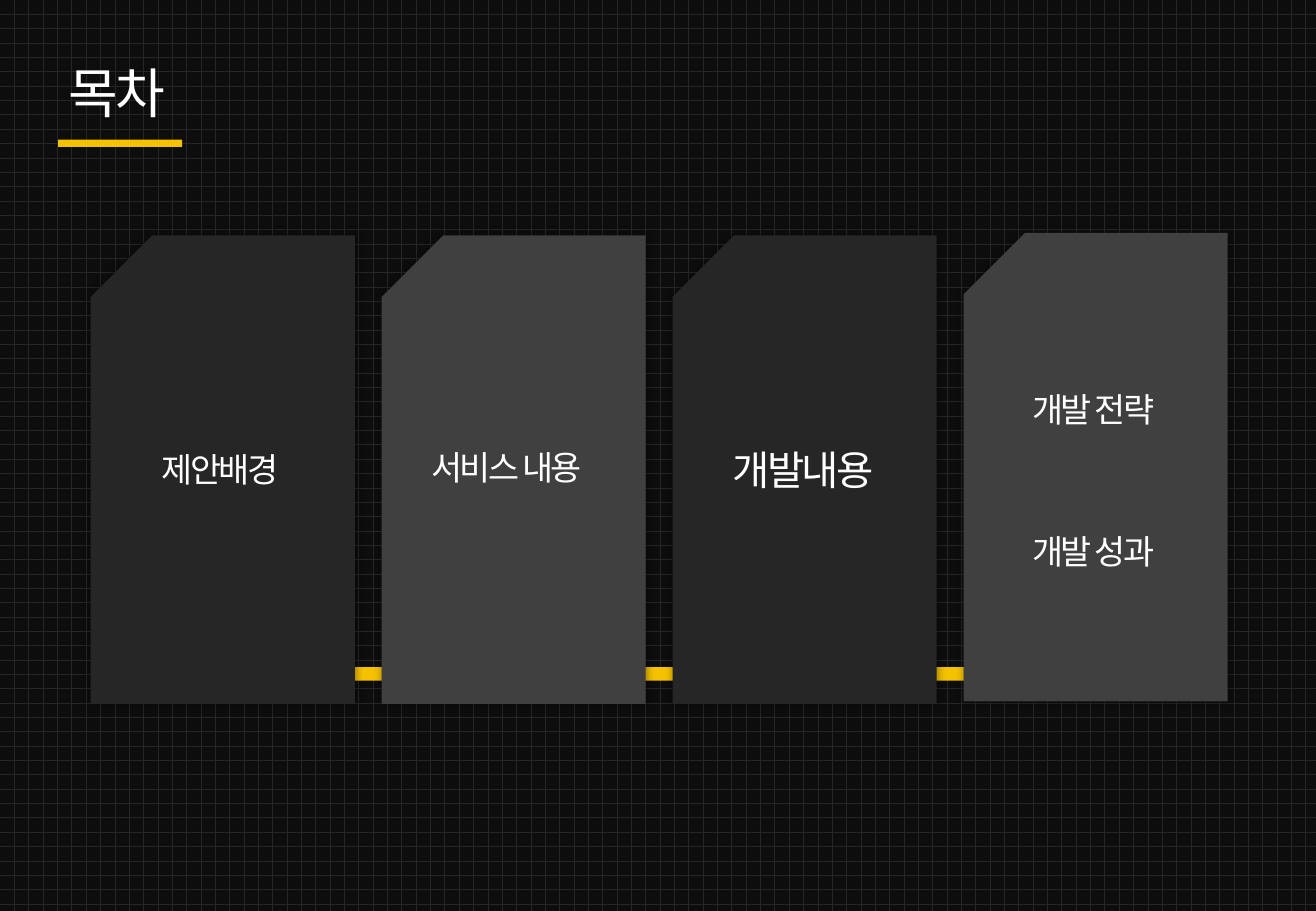
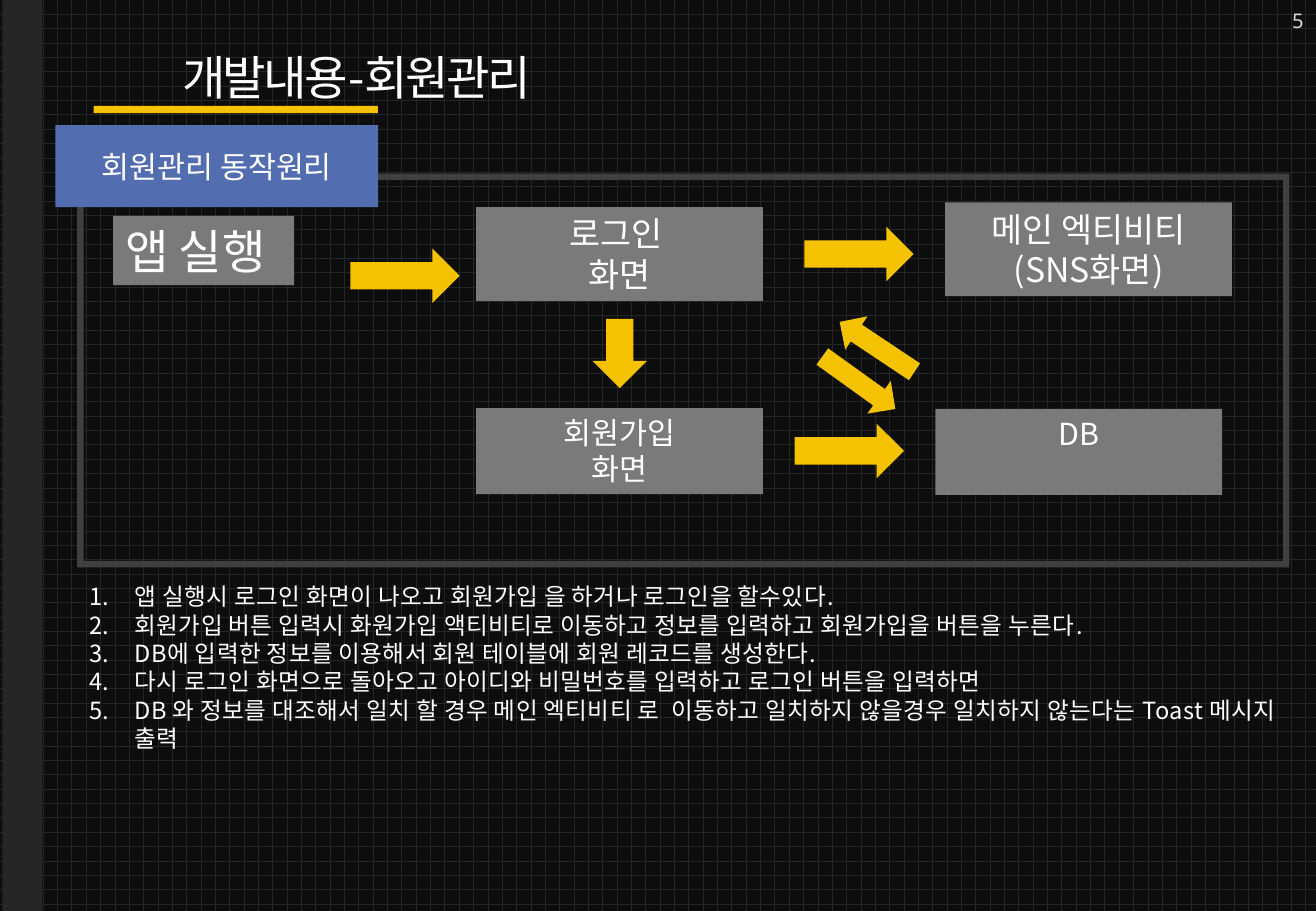
import pptx
import pptx.dml.color
import pptx.enum.dml
import pptx.enum.shapes
import pptx.enum.text
import pptx.oxml
import pptx.oxml.ns
import pptx.util
from lxml import etree

Pt = pptx.util.Pt
SHAPE = pptx.enum.shapes.MSO_SHAPE
ALIGN = pptx.enum.text.PP_ALIGN
ANCHOR = pptx.enum.text.MSO_ANCHOR
qn = pptx.oxml.ns.qn

COLORS = {
    "back": "0D0D0D",
    "panel": "262626",
    "card": "404040",
    "box": "7A7A7A",
    "accent": "F5C201",
    "label": "526DB0",
    "text": "FFFFFF",
    "number": "D9D9D9",
}
FONT = "Noto Sans CJK KR"
TIGHT = -150
LOOSE = 20
SHADOW_XML = (
    '<a:effectLst %s><a:outerShdw blurRad="%d" dist="0" dir="0">'
    '<a:srgbClr val="000000"><a:alpha val="40000"/></a:srgbClr>'
    "</a:outerShdw></a:effectLst>" % (pptx.oxml.ns.nsdecls("a"), Pt(5))
)


def rgb(name):
    """Return the named palette colour."""
    return pptx.dml.color.RGBColor.from_string(COLORS[name])


def place(*lengths):
    """Turn point values into lengths."""
    return [Pt(v) for v in lengths]


def new_slide(prs):
    """Add a blank slide with the brick pattern background."""
    s = prs.slides.add_slide(prs.slide_layouts[6])
    fill = s.background.fill
    fill.patterned()
    fill.pattern = pptx.enum.dml.MSO_PATTERN.HORIZONTAL_BRICK
    fill.fore_color.rgb = rgb("panel")
    fill.back_color.rgb = rgb("back")
    return s


def write(tf, lines, size, color="text", font=FONT, align=ALIGN.LEFT, spacing=None):
    """Write one paragraph for each line."""
    formats = {"size": Pt(size), "name": font}
    for i, line in enumerate(lines):
        p = tf.add_paragraph() if i else tf.paragraphs[0]
        p.alignment = align
        r = p.add_run()
        r.text = line
        r.font.color.rgb = rgb(color)
        for name, value in formats.items():
            setattr(r.font, name, value)
        rPr = r.font._element
        etree.SubElement(rPr, qn("a:ea")).set("typeface", font)
        if spacing:
            rPr.set("spc", str(spacing))


def add_text(s, box, lines, size, wrap=True, anchor=ANCHOR.TOP, **formats):
    """Add a text box that fits its text."""
    tf = s.shapes.add_textbox(*place(*box)).text_frame
    tf.word_wrap = wrap
    tf.auto_size = pptx.enum.text.MSO_AUTO_SIZE.SHAPE_TO_FIT_TEXT
    tf.vertical_anchor = anchor
    write(tf, lines, size, **formats)
    return tf


def add_block(s, box, color, kind=SHAPE.RECTANGLE, adjust=None, rotation=0):
    """Add a flat filled shape without outline."""
    sp = s.shapes.add_shape(kind, *place(*box))
    sp.shadow.inherit = False
    sp.fill.solid()
    sp.fill.fore_color.rgb = rgb(color)
    sp.line.fill.background()
    sp.rotation = rotation
    if adjust is not None:
        sp.adjustments[0] = adjust
    return sp


def add_label(s, box, color, lines, size, anchor=ANCHOR.TOP, align=ALIGN.CENTER):
    """Add a filled box with text."""
    tf = add_block(s, box, color).text_frame
    tf.word_wrap = True
    tf.vertical_anchor = anchor
    write(tf, lines, size, align=align)


def add_title(s, box, title, size, rule, **formats):
    """Add the slide title and its yellow rule."""
    add_block(s, rule, "accent")
    add_text(s, box, [title], size, spacing=TIGHT, **formats)


def add_card(s, left, top, color):
    """Add a card with a cut top left corner and a soft shadow."""
    sp = add_block(s, (left, top, 156.5, 277.7), color, SHAPE.SNIP_1_RECTANGLE, 0.233)
    spPr = sp._element.spPr
    spPr.find(qn("a:xfrm")).set("flipH", "1")
    spPr.replace(spPr.find(qn("a:effectLst")), pptx.oxml.parse_xml(SHADOW_XML))


def add_side_strip(s):
    """Add the strip at the left edge with its column of tabs."""
    add_block(s, (1.4, 0, 23.8, 540), "panel")
    for i in range(19):
        add_block(s, (7.2, 7.2 + 27.88 * i, 10.8, 22.3), "panel",
                  SHAPE.ROUNDED_RECTANGLE, 0.361)


def add_arrow(s, left, top, width=64.8, height=32.4, rotation=0):
    """Add a yellow block arrow."""
    add_block(s, (left, top, width, height), "accent", SHAPE.RIGHT_ARROW, rotation=rotation)


def add_steps(s, box, steps):
    """Add a numbered list."""
    tf = add_text(s, box, steps, 14, spacing=LOOSE)
    for p in tf.paragraphs:
        pPr = p._p.get_or_add_pPr()
        pPr.set("marL", str(Pt(27)))
        pPr.set("indent", str(-Pt(27)))
        etree.SubElement(pPr, qn("a:buAutoNum")).set("type", "arabicPeriod")


def contents_slide(prs):
    """Build the table of contents."""
    s = new_slide(prs)
    add_title(s, (33.1, 31.7, 72.7, 46), "목차", 32, (34.4, 82.8, 73.6, 4.3),
              wrap=False, align=ALIGN.CENTER)
    add_block(s, (95, 395.5, 579, 8), "accent")
    for i, top in enumerate((139.5, 139.5, 139.5, 138)):
        add_card(s, 53.8 + 172.45 * i, top, ("panel", "card")[i % 2])
    for text, left, top, width, size in (
        ("제안배경", 88.6, 262.4, 85, 20),
        ("서비스 내용", 248.6, 261.4, 107.3, 20),
        ("개발내용", 427, 260, 100, 24),
        ("개발 전략", 604.8, 226.8, 90, 20),
        ("개발 성과", 604.8, 311, 90, 20),
    ):
        add_text(s, (left, top, width, 1.6 * size), [text], size, wrap=False, spacing=TIGHT)


def members_slide(prs):
    """Build the flow of the member management."""
    s = new_slide(prs)
    add_text(s, (579.6, -2.2, 200.2, 28.8), ["5"], 12, anchor=ANCHOR.MIDDLE,
             color="number", font="Noto Sans", align=ALIGN.RIGHT)
    add_side_strip(s)
    add_title(s, (100.8, 25.2, 339.8, 41), "개발내용-회원관리", 28, (55.5, 62.8, 168.5, 4.3))
    add_label(s, (67, 128, 107.3, 41), "box", ["앱 실행"], 28, align=ALIGN.LEFT)
    for left, top, height, size, lines in (
        (282.2, 122.8, 55.6, 20, ["로그인 ", "화면"]),
        (554.4, 242.3, 51, 18, ["DB"]),
        (282.2, 241.9, 51, 18, ["회원가입", "화면"]),
        (560.2, 120, 55.6, 20, ["메인 엑티비티", "(SNS화면)"]),
    ):
        add_label(s, (left, top, 170, height), "box", lines, size)
    add_block(s, (45.8, 103, 718.4, 233.3), "card", SHAPE.FRAME, 0.016)
    add_label(s, (32.8, 74.2, 191.3, 48.6), "label", ["회원관리 동작원리"], 18, ANCHOR.MIDDLE)
    for arrow in (
        (476.8, 134.4),
        (207.7, 147.3),
        (471, 251.1),
        (482.4, 215, 53.3, 23.8, 35.7),
        (493.2, 193.7, 53.3, 23.8, 213.7),
        (346.8, 193.4, 41, 32.4, 90),
    ):
        add_arrow(s, *arrow)
    add_steps(s, (45.8, 341.5, 718.4, 108.7), [
        "앱 실행시 로그인 화면이 나오고 회원가입 을 하거나 로그인을 할수있다.",
        "회원가입 버튼 입력시 화원가입 액티비티로 이동하고 정보를 입력하고 회원가입을 버튼을 누른다.",
        "DB에 입력한 정보를 이용해서 회원 테이블에 회원 레코드를 생성한다.",
        "다시 로그인 화면으로 돌아오고 아이디와 비밀번호를 입력하고 로그인 버튼을 입력하면",
        "DB 와 정보를 대조해서 일치 할 경우 메인 엑티비티 로  이동하고 일치하지 않을경우 "
        "일치하지 않는다는 Toast 메시지 출력",
    ])


def main():
    """Build and save the presentation."""
    prs = pptx.Presentation()
    prs.slide_width, prs.slide_height = place(780, 540)
    contents_slide(prs)
    members_slide(prs)
    prs.save("out.pptx")


main()
